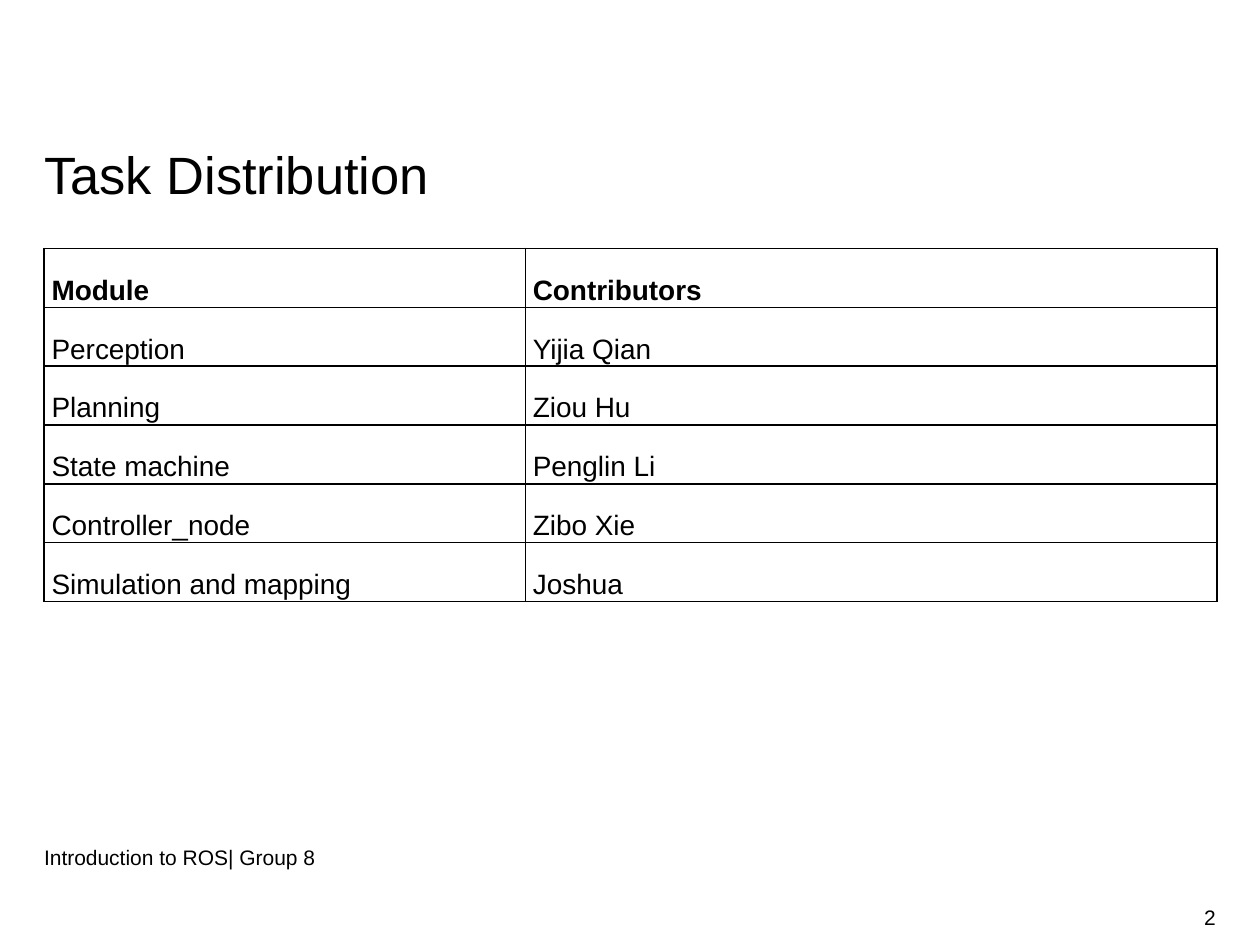
"""Build the task distribution slide with its table of modules and contributors."""
import pptx
import pptx.dml.color
import pptx.enum.shapes
import pptx.enum.text
import pptx.oxml
import pptx.oxml.ns
import pptx.util

Pt = pptx.util.Pt
ALIGN = pptx.enum.text.PP_ALIGN
ANCHOR = pptx.enum.text.MSO_ANCHOR
BLACK, WHITE = "000000", "FFFFFF"
LEFT, WIDTH = 25.2, 670.3


def color(value):
    return pptx.dml.color.RGBColor.from_string(value)


def write(frame, text, size=12, bold=False, align=ALIGN.LEFT,
          anchor=ANCHOR.MIDDLE, insets=(0, 3.6, 0, 3.6), spacing=1.0):
    frame.word_wrap = True
    frame.vertical_anchor = anchor
    frame.margin_left, frame.margin_top, frame.margin_right, frame.margin_bottom = map(Pt, insets)
    paragraph = frame.paragraphs[0]
    paragraph.alignment = align
    paragraph.line_spacing = spacing
    run = paragraph.add_run()
    run.text = text
    run.font.name = "Arial"
    run.font.size = Pt(size)
    run.font.bold = bold
    run.font.color.rgb = color(BLACK)


deck = pptx.Presentation()
deck.slide_width, deck.slide_height = Pt(720), Pt(540)
slide = deck.slides.add_slide(deck.slide_layouts[5])

title = slide.shapes.title
title.left, title.top, title.width, title.height = Pt(LEFT), Pt(78.5), Pt(WIDTH), Pt(36)
write(title.text_frame, "Task Distribution", size=30, anchor=ANCHOR.TOP,
      insets=(0, 0, 0, 0), spacing=1.07)
title.text_frame.auto_size = pptx.enum.text.MSO_AUTO_SIZE.SHAPE_TO_FIT_TEXT

assignments = [
    ("Module", "Contributors"),
    ("Perception", "Yijia Qian"),
    ("Planning", "Ziou Hu"),
    ("State machine", "Penglin Li"),
    ("Controller_node", "Zibo Xie"),
    ("Simulation and mapping", "Joshua"),
]
row_height = 33.4
tasks = slide.shapes.add_table(len(assignments), 2, Pt(LEFT), Pt(142),
                               Pt(WIDTH), Pt(row_height * len(assignments))).table
tasks.first_row = tasks.horz_banding = False
for column, width in zip(tasks.columns, (275, 395.3)):
    column.width = Pt(width)
for row_index, assignment in enumerate(assignments):
    tasks.rows[row_index].height = Pt(row_height)
    for column_index, entry in enumerate(assignment):
        cell = tasks.cell(row_index, column_index)
        properties = cell._tc.get_or_add_tcPr()
        for side in ("lnL", "lnR", "lnT", "lnB"):
            properties.append(pptx.oxml.parse_xml(
                f'<a:{side} {pptx.oxml.ns.nsdecls("a")} w="{Pt(1)}"><a:solidFill>'
                f'<a:srgbClr val="{BLACK}"/></a:solidFill></a:{side}>'))
        cell.fill.background()
        write(cell.text_frame, entry, size=16, bold=row_index == 0,
              insets=(0, 0, 0, 0))
        cell.vertical_anchor = ANCHOR.MIDDLE
        cell.margin_left, cell.margin_top = Pt(4.3), Pt(14.4)
        cell.margin_right = cell.margin_bottom = Pt(0)
        properties.attrib.pop("wrap", None)

page_number = slide.shapes.add_shape(pptx.enum.shapes.MSO_SHAPE.RECTANGLE,
                                     Pt(533.5), Pt(509.8), Pt(161.3), Pt(28.8))
page_number.shadow.inherit = False
page_number.fill.solid()
page_number.fill.fore_color.rgb = color(WHITE)
page_number.line.fill.background()
write(page_number.text_frame, "2", align=ALIGN.RIGHT)

footer = slide.shapes.add_textbox(Pt(LEFT), Pt(475.2), Pt(509), Pt(28.8))
write(footer.text_frame, "Introduction to ROS| Group 8")

deck.save("out.pptx")
